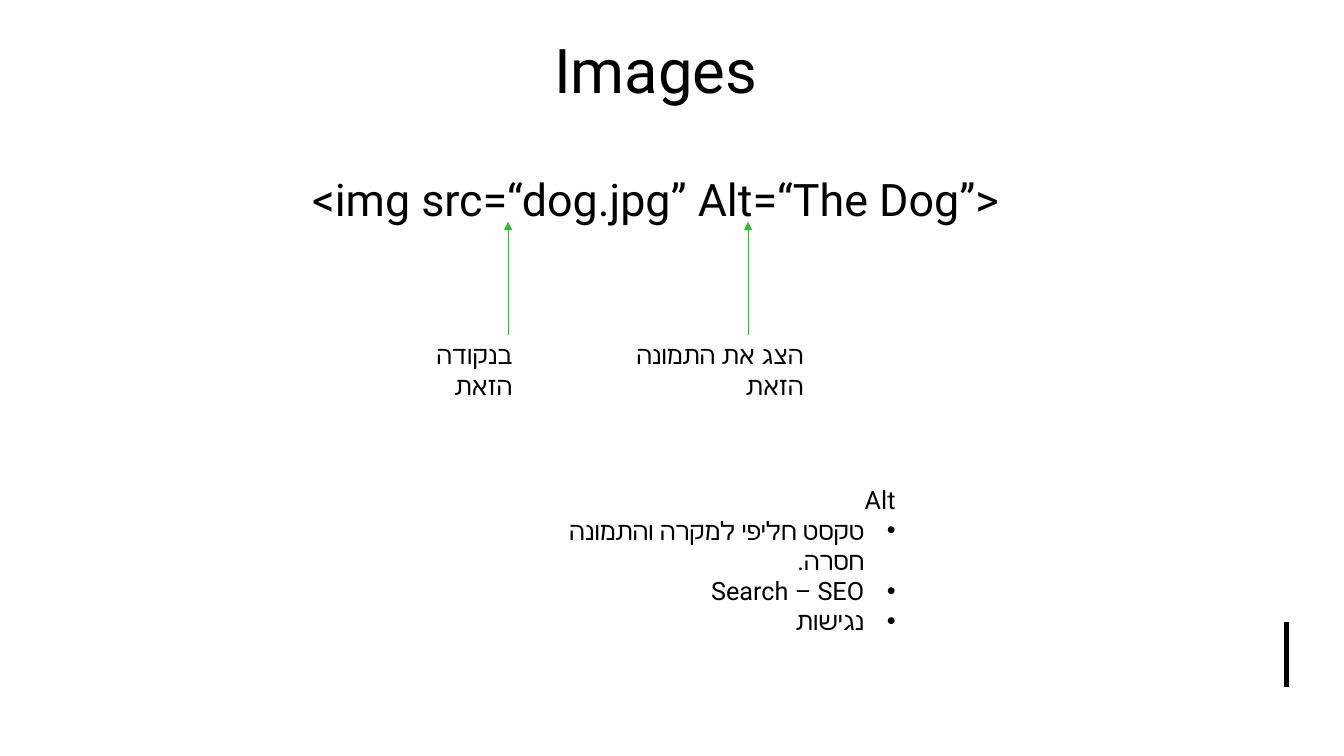
from lxml.etree import SubElement as Sub
from pptx import Presentation
from pptx.dml.color import RGBColor as RGB
from pptx.enum.shapes import MSO_CONNECTOR as Link
from pptx.enum.text import MSO_ANCHOR as Anchor, PP_ALIGN as Align
from pptx.oxml.ns import qn
from pptx.util import Inches, Pt

COLORS = {"ink": "000000", "arrow": "33BA34", "paper": "FFFFFF"}
FONT = "Roboto"


def tint(name):
    return RGB.from_string(COLORS[name])


def mark(para, gap=0.31):
    props = para._p.get_or_add_pPr()
    props.set("marL", str(Inches(gap)))
    props.set("indent", str(-Inches(gap)))
    Sub(props, qn("a:buFont"), typeface="Arial")
    Sub(props, qn("a:buChar"), char="•")


def write(slide, text, box, size=18, align=Align.CENTER, anchor=Anchor.TOP,
          rtl=False, bullets=(), spacing=None):
    frame = slide.shapes.add_textbox(*map(Inches, box)).text_frame
    frame.word_wrap = True
    frame.vertical_anchor = anchor
    for i, line in enumerate([text, *bullets]):
        para = frame.add_paragraph() if i else frame.paragraphs[0]
        para.alignment = align
        if spacing:
            para.line_spacing = spacing
        if rtl:
            para._p.get_or_add_pPr().set("rtl", "1")
        if i:
            mark(para)
        run = para.add_run()
        run.text = line
        run.font.size = Pt(size)
        run.font.name = FONT
        run.font.color.rgb = tint("ink")
        Sub(run.font._element, qn("a:cs"), typeface=FONT)


def rule(slide, start, end, color, width, head=False):
    line = slide.shapes.add_connector(Link.STRAIGHT, *map(Inches, (*start, *end)))
    line.line.color.rgb = tint(color)
    line.line.width = Pt(width)
    if head:
        Sub(line.line._get_or_add_ln(), qn("a:tailEnd"), type="triangle")
    Sub(line._element.spPr, qn("a:effectLst"))


def header(slide, box):
    left, top, width, height = box
    write(slide, "Images", (left, top, width, 1.57), size=44, anchor=Anchor.MIDDLE)
    write(slide, "<img src=“dog.jpg” Alt=“The Dog”>",
          (left, top + 1.7, width, height - 1.7), size=32, spacing=1.1)


def callout(slide, text, box, shaft, rise=1.12):
    left, top, width, height = box
    rule(slide, (shaft, top), (shaft, top - rise), "arrow", 0.5, head=True)
    write(slide, text, box, align=Align.RIGHT, rtl=True)


def notes(slide, box):
    write(slide, "Alt", box, align=Align.RIGHT, rtl=True,
          bullets=["טקסט חליפי למקרה והתמונה חסרה.", "Search – SEO", "נגישות"])


def main():
    deck = Presentation()
    deck.slide_width, deck.slide_height = Inches(13.33), Inches(7.5)
    slide = deck.slides.add_slide(deck.slide_layouts[6])
    slide.background.fill.solid()
    slide.background.fill.fore_color.rgb = tint("paper")
    rule(slide, (12.76, 6.17), (12.76, 6.82), "ink", 3)
    header(slide, (0.83, -0.1, 11.35, 6.67))
    callout(slide, "בנקודה הזאת", (4.1, 3.32, 1.08, 0.7), 5.04)
    callout(slide, "הצג את התמונה הזאת", (6.1, 3.32, 1.97, 0.7), 7.42)
    notes(slide, (5.4, 4.76, 3.58, 1.6))
    deck.save("out.pptx")


if __name__ == "__main__":
    main()
